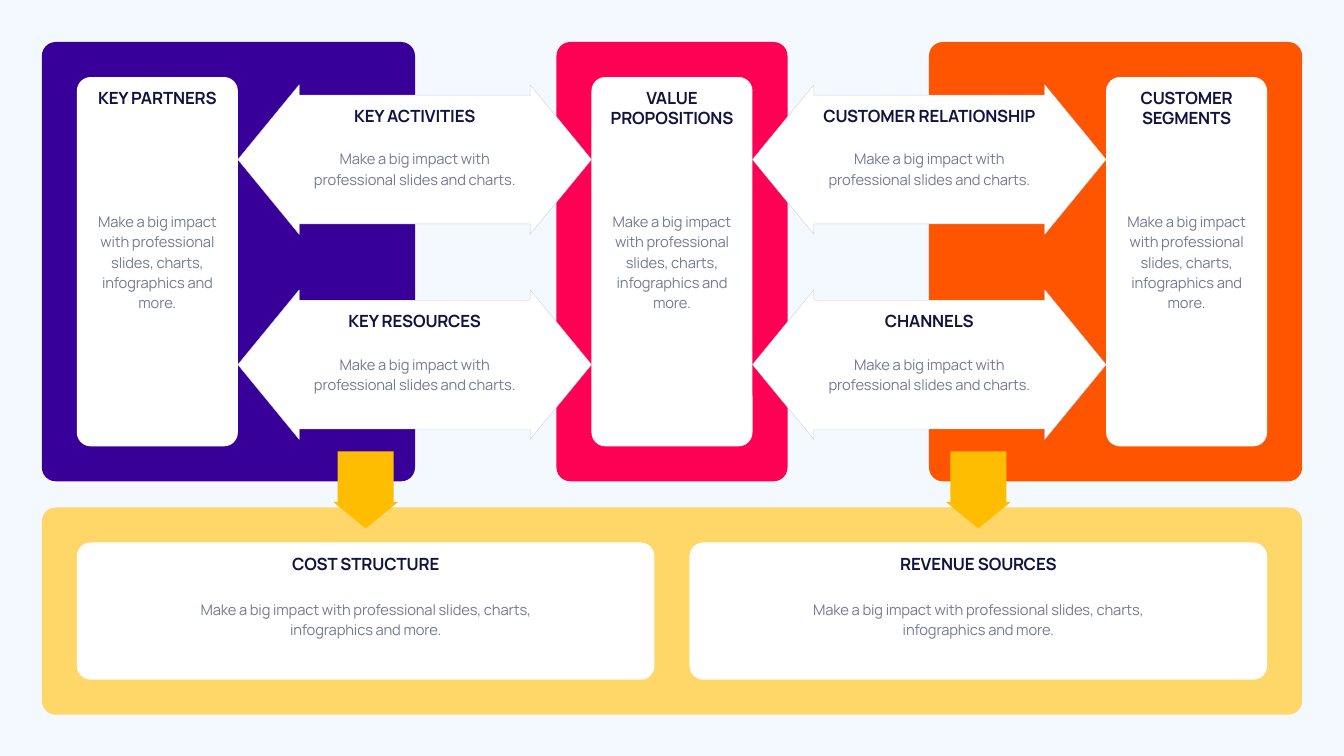
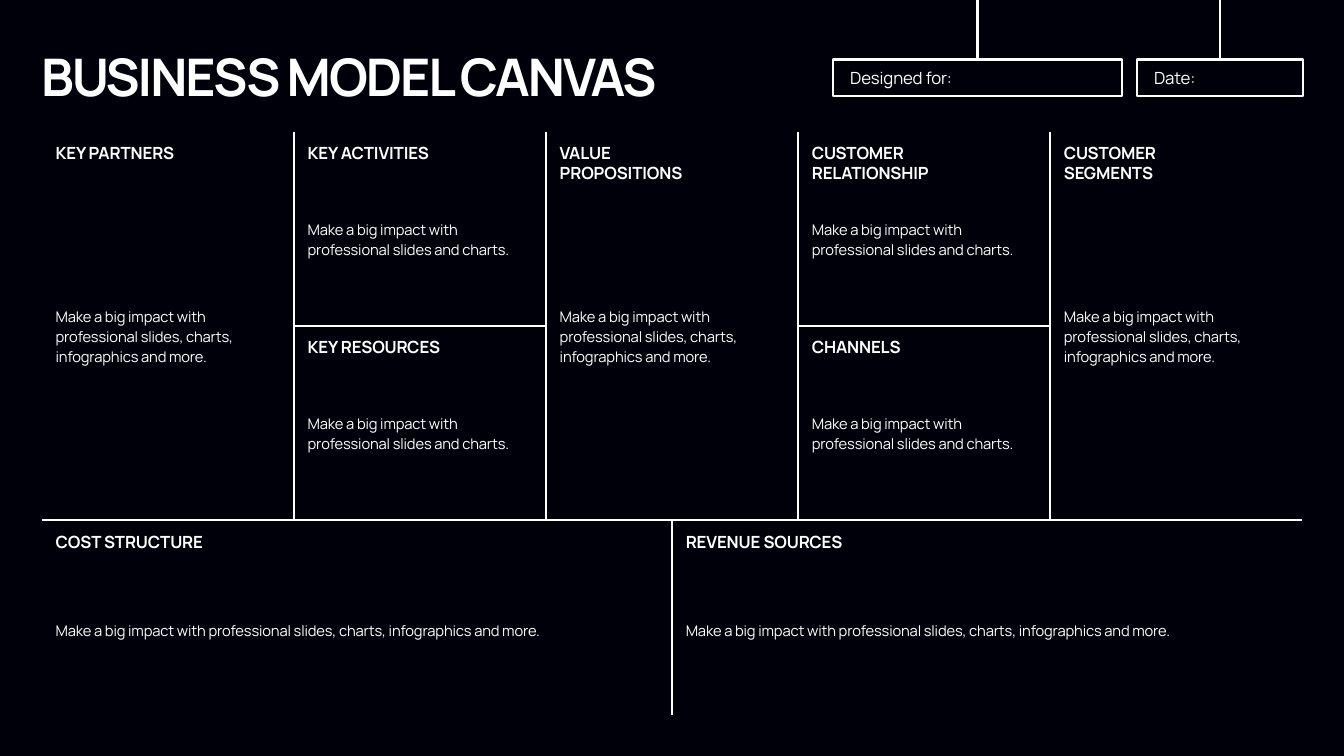
"""Builds two business model canvas slides."""
from dataclasses import dataclass

from lxml import etree
from pptx import Presentation
from pptx.dml.color import RGBColor
from pptx.enum.shapes import MSO_CONNECTOR, MSO_SHAPE
from pptx.enum.text import MSO_ANCHOR, MSO_AUTO_SIZE, PP_ALIGN
from pptx.oxml.ns import qn
from pptx.util import Pt

ROUNDED = MSO_SHAPE.ROUNDED_RECTANGLE
RECTANGLE = MSO_SHAPE.RECTANGLE
DOUBLE_ARROW = MSO_SHAPE.LEFT_RIGHT_ARROW
DOWN_ARROW = MSO_SHAPE.DOWN_ARROW
STRAIGHT = MSO_CONNECTOR.STRAIGHT
TOP_ANCHOR, MIDDLE = MSO_ANCHOR.TOP, MSO_ANCHOR.MIDDLE
LEFT_ALIGN, CENTER = PP_ALIGN.LEFT, PP_ALIGN.CENTER
FIT_SHAPE = MSO_AUTO_SIZE.SHAPE_TO_FIT_TEXT

PAGE_WIDTH, PAGE_HEIGHT = 1919.52, 1080
MIDLINE = PAGE_WIDTH / 2
CONTENT_WIDTH = 1800
LEFT = MIDLINE - CONTENT_WIDTH / 2
RIGHT = LEFT + CONTENT_WIDTH

SHORT = "Make a big impact with professional slides and charts."
LONG = "Make a big impact with professional slides, charts, infographics and more."


@dataclass(frozen=True)
class TextStyle:
    """Size, weight, tracking and leading of one kind of text."""
    size: float
    bold: bool = False
    tracking: float = -0.2
    leading: float = 0


@dataclass(frozen=True)
class Theme:
    """Colours and type of the whole deck."""
    font: str = "Manrope"
    title: TextStyle = TextStyle(74, True, -2.9)
    heading: TextStyle = TextStyle(24, True)
    body: TextStyle = TextStyle(21, leading=29)
    field: TextStyle = TextStyle(24, leading=29)
    white: str = "FFFFFF"
    pale: str = "F4F9FF"
    night: str = "00000B"
    ink: str = "111340"
    muted: str = "747A94"
    outline: str = "C7D3DD"
    purple: str = "390099"
    pink: str = "FF0154"
    orange: str = "FF5400"
    sand: str = "FFD768"
    amber: str = "FFBD02"
    rule: float = 3
    radius: float = 19.8


THEME = Theme()


def rgb(value):
    """Turn a hex string into a colour."""
    return RGBColor.from_string(value)


def add_page(deck, color):
    """Add a blank slide with a plain background."""
    page = deck.slides.add_slide(deck.slide_layouts[6])
    page.background.fill.solid()
    page.background.fill.fore_color.rgb = rgb(color)
    return page


def write(frame, text, style, color, align=LEFT_ALIGN, anchor=TOP_ANCHOR):
    """Put styled text into a text frame."""
    frame.text = text
    frame.word_wrap = True
    frame.vertical_anchor = anchor
    for para in frame.paragraphs:
        para.alignment = align
        if style.leading:
            para.line_spacing = Pt(style.leading)
        for span in para.runs:
            span.font.name = THEME.font
            span.font.size = Pt(style.size)
            span.font.bold = style.bold
            span.font.color.rgb = rgb(color)
            span._r.get_or_add_rPr().set("spc", str(round(style.tracking * 100)))


def add_text(page, area, text, style, color, align=LEFT_ALIGN, anchor=TOP_ANCHOR):
    """Add a text box that grows with its text."""
    box = page.shapes.add_textbox(*map(Pt, area))
    write(box.text_frame, text, style, color, align, anchor)
    box.text_frame.auto_size = FIT_SHAPE


def add_block(page, kind, area, fill=None, line=None, weight=0.57, adjust=()):
    """Add a preset shape with an optional fill and outline."""
    block = page.shapes.add_shape(kind, *map(Pt, area))
    block.shadow.inherit = False
    if fill:
        block.fill.solid()
        block.fill.fore_color.rgb = rgb(fill)
    else:
        block.fill.background()
    if line:
        block.line.color.rgb = rgb(line)
        block.line.width = Pt(weight)
    else:
        block.line.fill.background()
    for index, value in enumerate(adjust):
        block.adjustments[index] = value
    return block


def add_panel(page, area, fill):
    """Add a rounded panel whose corner radius is the same at every size."""
    add_block(page, ROUNDED, area, fill, adjust=[THEME.radius / min(area[2:])])


def add_rule(page, x1, y1, x2, y2):
    """Add a straight white rule."""
    rule = page.shapes.add_connector(STRAIGHT, *map(Pt, (x1, y1, x2, y2)))
    rule.line.color.rgb = rgb(THEME.white)
    rule.line.width = Pt(THEME.rule)
    etree.SubElement(rule._element.spPr, qn("a:effectLst"))
    return rule


def add_caption(page, area, inset, heading, heading_drop, body, body_drop, body_height):
    """Add a centred heading and body over a white area."""
    x, y, width = area[0] + inset, area[1], area[2] - 2 * inset
    heading_height = 65.5 if inset < 50 and " " in heading and heading != "KEY PARTNERS" else 36
    add_text(page, (x, y + heading_drop, width, heading_height), heading,
             THEME.heading, THEME.ink, CENTER)
    add_text(page, (x, y + body_drop, width, body_height), body,
             THEME.body, THEME.muted, CENTER, MIDDLE)


def add_cell(page, x, y, width, height, heading, body, body_lines, drop=13.4):
    """Add a left-aligned heading and body inside one canvas cell."""
    text_x = x + 12.6
    heading_height = 7.2 + 29 * (heading.count("\n") + 1)
    body_height = 6.4 + 29 * body_lines
    body_y = y + height / 2 + drop - body_height / 2
    add_text(page, (text_x, y + 12.4, width, heading_height), heading,
             THEME.heading, THEME.white)
    add_text(page, (text_x, body_y, width, body_height), body,
             THEME.body, THEME.white, anchor=MIDDLE)


def add_field(page, x, width, label):
    """Add a labelled field hanging from the top edge."""
    field = add_block(page, RECTANGLE, (x, 85, width, 52.6),
                      line=THEME.white, weight=THEME.rule)
    write(field.text_frame, label, THEME.field, THEME.white, anchor=MIDDLE)
    field.text_frame.margin_left = Pt(24)
    middle = x + width / 2
    add_rule(page, middle, 0, middle, 85).end_connect(field, 0)


def build_flow_page(deck):
    """Build the coloured canvas with arrows between the parts."""
    page = add_page(deck, THEME.pale)
    top, height, inset = 60, 627.6, 50
    side_width, center_width, card_width = 533, 330, 230
    base_top, base_height = 725, 296

    add_panel(page, (LEFT, base_top, CONTENT_WIDTH, base_height), THEME.sand)
    for x, width, color in (
        (LEFT, side_width, THEME.purple),
        (MIDLINE - center_width / 2, center_width, THEME.pink),
        (RIGHT - side_width, side_width, THEME.orange),
    ):
        add_panel(page, (x, top, width, height), color)

    card_pitch = (CONTENT_WIDTH - 2 * inset - card_width) / 2
    cards = ("KEY PARTNERS", "VALUE PROPOSITIONS", "CUSTOMER SEGMENTS")
    for column, heading in enumerate(cards):
        area = (LEFT + inset + column * card_pitch, top + inset,
                card_width, height - 2 * inset)
        add_panel(page, area, THEME.white)
        add_caption(page, area, 18, heading, 12.2, LONG, 172, 181.4)

    arrows = (("KEY ACTIVITIES", "KEY RESOURCES"),
              ("CUSTOMER RELATIONSHIP", "CHANNELS"))
    for column, headings in enumerate(arrows):
        for row, heading in enumerate(headings):
            area = (LEFT + inset + card_width + column * card_pitch, 121 + row * 293,
                    card_pitch - card_width, 213.8)
            add_block(page, DOUBLE_ARROW, area, THEME.white, THEME.outline,
                      adjust=(0.86, 0.41))
            add_caption(page, area, 82, heading, 26.6, SHORT, 86.4, 64.8)

    base_width = (CONTENT_WIDTH - 3 * inset) / 2
    for column, heading in enumerate(("COST STRUCTURE", "REVENUE SOURCES")):
        area = (LEFT + inset + column * (base_width + inset), base_top + inset,
                base_width, base_height - 2 * inset)
        add_panel(page, area, THEME.white)
        add_caption(page, area, 111, heading, 12.2, LONG, 76.3, 64.8)
        arrow_x = area[0] + base_width / 2 - 46.5
        add_block(page, DOWN_ARROW, (arrow_x, 645, 93, 110), THEME.amber,
                  adjust=(0.86, 0.41))


def build_grid_page(deck):
    """Build the dark canvas ruled into cells."""
    page = add_page(deck, THEME.night)
    top, row, column = 188, 277.6, CONTENT_WIDTH / 5
    middle, bottom = top + row, top + 2 * row
    edges = [LEFT + index * column for index in range(5)]

    add_text(page, (51.84, 60.5, 952.6, 97.2), "BUSINESS MODEL CANVAS",
             THEME.title, THEME.white)
    add_field(page, 1190.2, 411.8, "Designed for:")
    add_field(page, 1624.2, 236.2, "Date:")

    for x in edges[1:]:
        add_rule(page, x, top, x, bottom)
    for x in (edges[1], edges[3]):
        add_rule(page, x, middle, x + column, middle)
    add_rule(page, LEFT, bottom, RIGHT, bottom)
    add_rule(page, MIDLINE, bottom, MIDLINE, bottom + row)

    columns = (
        ("KEY PARTNERS",),
        ("KEY ACTIVITIES", "KEY RESOURCES"),
        ("VALUE\nPROPOSITIONS",),
        ("CUSTOMER\nRELATIONSHIP", "CHANNELS"),
        ("CUSTOMER\nSEGMENTS",),
    )
    for x, headings in zip(edges, columns):
        height = 2 * row / len(headings)
        body, lines = (LONG, 3) if len(headings) == 1 else (SHORT, 2)
        for index, heading in enumerate(headings):
            add_cell(page, x, top + index * height, 328.3, height, heading, body, lines)
    for x, heading in ((LEFT, "COST STRUCTURE"), (MIDLINE, "REVENUE SOURCES")):
        add_cell(page, x, bottom, 795, row, heading, LONG, 1, drop=17)


def main():
    """Build and save the deck."""
    deck = Presentation()
    deck.slide_width, deck.slide_height = Pt(PAGE_WIDTH), Pt(PAGE_HEIGHT)
    build_flow_page(deck)
    build_grid_page(deck)
    deck.save("out.pptx")


if __name__ == "__main__":
    main()
